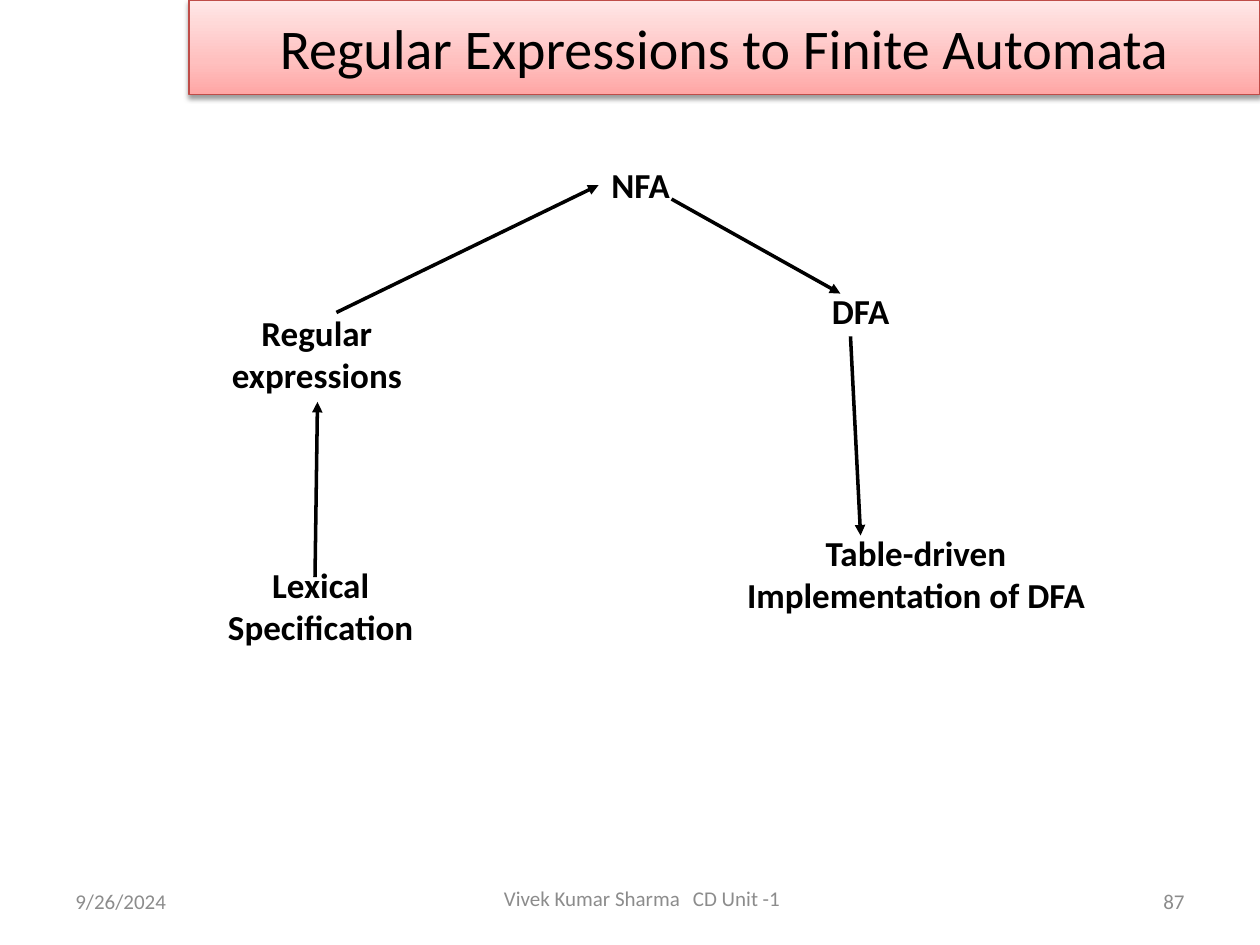
from pptx import Presentation
from pptx.dml.color import RGBColor
from pptx.enum.shapes import MSO_CONNECTOR, MSO_SHAPE
from pptx.enum.text import MSO_ANCHOR, MSO_AUTO_SIZE, PP_ALIGN
from pptx.oxml import parse_xml
from pptx.oxml.ns import nsdecls
from pptx.util import Inches, Pt
from lxml.etree import SubElement
from pptx.oxml.ns import qn

FONT = "Calibri"
COLORS = {"text": "000000", "footer": "8C8C8C", "banner_line": "BF4C48"}
BANNER_STOPS = [(0, "FFA6A5"), (35, "FFC0BF"), (100, "FFE7E7")]

TITLE = "Regular Expressions to Finite Automata"
# Stage lines and box: left, top, width, height
STAGES = [
    (["Lexical", "Specification"], (1.7, 4.42, 1.69, 0.77)),
    (["Regular", "expressions"], (1.73, 2.42, 1.57, 0.77)),
    (["NFA"], (4.75, 1.25, 0.67, 0.44)),
    (["DFA"], (6.5, 2.25, 0.66, 0.44)),
    (["Table-driven", "Implementation of DFA"], (5.82, 4.17, 2.9, 0.77)),
]
# Start and end of each step between stages
ARROWS = [
    ((2.5, 4.58), (2.52, 3.19)),
    ((2.67, 2.48), (4.75, 1.47)),
    ((5.33, 1.58), (6.67, 2.33)),
    ((6.75, 2.67), (6.83, 4.25)),
]
DATE, AUTHOR, COURSE, PAGE = "9/26/2024", "Vivek Kumar Sharma", "CD Unit -1", "87"


def rgb(name):
    return RGBColor.from_string(COLORS[name])


def write(shape, lines, size, color="text", align=PP_ALIGN.CENTER, bold=False):
    tf = shape.text_frame
    tf.text = "\n".join(lines)
    for p in tf.paragraphs:
        p.alignment = align
        p.font.name, p.font.size, p.font.bold = FONT, Pt(size), bold
        p.font.color.rgb = rgb(color)
    return tf


def add_banner(slide):
    s = slide.shapes.add_shape(MSO_SHAPE.RECTANGLE, Inches(1.5), 0, Inches(8.5), Inches(0.75))
    s.line.color.rgb, s.line.width = rgb("banner_line"), Pt(0.75)
    stops = "".join(f'<a:gs pos="{pos * 1000}"><a:srgbClr val="{c}"/></a:gs>'
                    for pos, c in BANNER_STOPS)
    sp_pr = s.element.spPr
    sp_pr.find(qn("a:prstGeom")).addnext(parse_xml(
        f'<a:gradFill {nsdecls("a")} rotWithShape="1"><a:gsLst>{stops}</a:gsLst>'
        '<a:lin ang="16200000" scaled="0"/></a:gradFill>'))
    sp_pr.append(parse_xml(
        f'<a:effectLst {nsdecls("a")}><a:outerShdw blurRad="{Pt(3.1)}" dist="{Pt(1.6)}" '
        'dir="5400000" rotWithShape="0"><a:srgbClr val="000000"><a:alpha val="38000"/>'
        '</a:srgbClr></a:outerShdw></a:effectLst>'))
    write(s, [TITLE], 32).vertical_anchor = MSO_ANCHOR.MIDDLE


def add_stage(slide, lines, box):
    tf = write(slide.shapes.add_textbox(*map(Inches, box)), lines, 20, bold=True)
    tf.word_wrap = False
    tf.auto_size = MSO_AUTO_SIZE.SHAPE_TO_FIT_TEXT


def add_arrow(slide, start, end):
    line = slide.shapes.add_connector(MSO_CONNECTOR.STRAIGHT, *map(Inches, start + end))
    line.line.color.rgb, line.line.width = rgb("text"), Pt(2)
    SubElement(line.line._get_or_add_ln(), qn("a:tailEnd"), type="triangle")
    SubElement(line.element.spPr, qn("a:effectLst"))


def add_footer(slide, text, box, align):
    s = slide.shapes.add_textbox(*map(Inches, box))
    tf = s.text_frame
    tf.word_wrap = True
    tf.vertical_anchor = MSO_ANCHOR.MIDDLE
    if "\t" in text:
        tf.margin_left = Inches(1.5)
        tabs = SubElement(tf.paragraphs[0]._p.get_or_add_pPr(), qn("a:tabLst"))
        SubElement(tabs, qn("a:tab"), pos=str(Inches(1.8)), algn="l")
    write(s, [text], 12, "footer", align)


def main():
    prs = Presentation()
    prs.slide_width, prs.slide_height = Inches(10), Inches(7.5)
    slide = prs.slides.add_slide(prs.slide_layouts[6])
    add_banner(slide)
    for lines, box in STAGES:
        add_stage(slide, lines, box)
    for start, end in ARROWS:
        add_arrow(slide, start, end)
    add_footer(slide, DATE, (0.5, 6.95, 2.33, 0.4), PP_ALIGN.LEFT)
    add_footer(slide, f"{AUTHOR}\t{COURSE}", (2.5, 6.93, 5.5, 0.4), PP_ALIGN.LEFT)
    add_footer(slide, PAGE, (7.17, 6.95, 2.33, 0.4), PP_ALIGN.RIGHT)
    prs.save("out.pptx")


if __name__ == "__main__":
    main()
